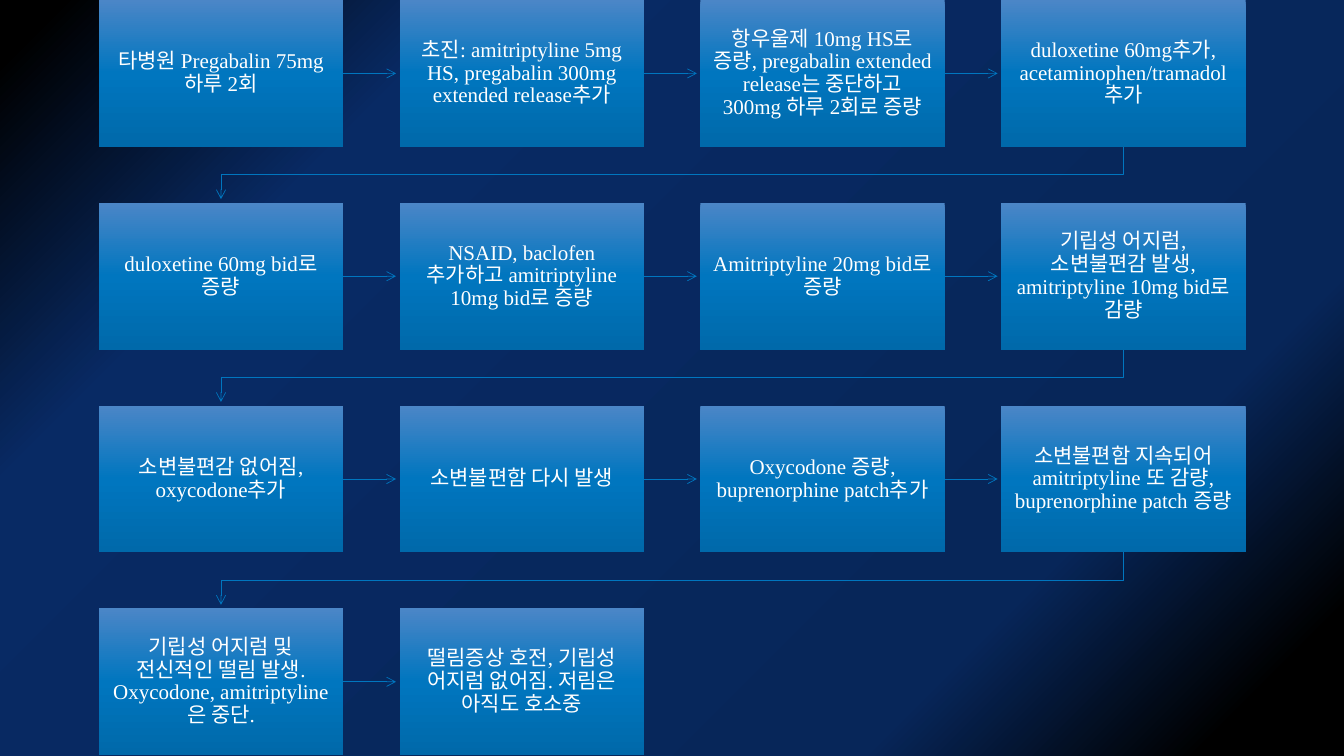
from lxml.etree import SubElement
from pptx import Presentation
from pptx.dml.color import RGBColor
from pptx.enum.shapes import MSO_CONNECTOR, MSO_SHAPE
from pptx.enum.text import MSO_ANCHOR, PP_ALIGN
from pptx.oxml.ns import qn
from pptx.util import Cm, Pt

COLORS = {
    "black": "000000",
    "navy": "072659",
    "deep": "082A64",
    "light": "4B86C7",
    "blue": "0076BF",
    "dark": "0069AA",
    "white": "FFFFFF",
}
FONT = "Times New Roman"

TREATMENT_STEPS = [
    "타병원 Pregabalin 75mg 하루 2회",
    "초진: amitriptyline 5mg HS, pregabalin 300mg extended release추가",
    "항우울제 10mg HS로 증량, pregabalin extended release는 중단하고 300mg 하루 2회로 증량",
    "duloxetine 60mg추가, acetaminophen/tramadol 추가",
    "duloxetine 60mg bid로 증량",
    "NSAID, baclofen추가하고 amitriptyline 10mg bid로 증량",
    "Amitriptyline 20mg bid로 증량",
    "기립성 어지럼, 소변불편감 발생, amitriptyline 10mg bid로 감량",
    "소변불편감 없어짐, oxycodone추가",
    "소변불편함 다시 발생",
    "Oxycodone 증량, buprenorphine patch추가",
    "소변불편함 지속되어 amitriptyline 또 감량, buprenorphine patch 증량",
    "기립성 어지럼 및 전신적인 떨림 발생. Oxycodone, amitriptyline은 중단.",
    "떨림증상 호전, 기립성 어지럼 없어짐. 저림은 아직도 호소중",
]

# Grid of boxes
COLUMNS = 4
LEFT = Cm(2.49)
COLUMN_STEP, ROW_STEP = Cm(7.58), Cm(5.11)
BOX_WIDTH, BOX_HEIGHT = Cm(6.16), Cm(3.7)
ARROW_GAP = Cm(0.09)


def set_gradient(fill, owner, stops):
    """Fill with (percent, colour, opacity) stops and return the gradient element."""
    fill.gradient()
    gradient = owner.find(".//" + qn("a:gradFill"))
    for child in list(gradient):
        gradient.remove(child)
    stop_list = SubElement(gradient, qn("a:gsLst"))
    for percent, color, opacity in stops:
        stop = SubElement(stop_list, qn("a:gs"), pos=str(percent * 1000))
        tint = SubElement(stop, qn("a:srgbClr"), val=COLORS[color])
        if opacity < 100:
            SubElement(tint, qn("a:alpha"), val=str(opacity * 1000))
    return gradient


def style_arrow(arrow):
    arrow.line.color.rgb = RGBColor.from_string(COLORS["blue"])
    arrow.line.width = Pt(0.5)
    properties = arrow.element.spPr
    SubElement(properties.find(qn("a:ln")), qn("a:tailEnd"), type="arrow")
    SubElement(properties, qn("a:effectLst"))


deck = Presentation()
deck.slide_width, deck.slide_height = Cm(33.87), Cm(19.05)
page = deck.slides.add_slide(deck.slide_layouts[6])

# Background: radial gradient around the bottom right corner
backdrop = set_gradient(page.background.fill, page.element, [
    (7, "black", 100), (23, "navy", 76), (77, "deep", 100), (97, "black", 100)])
radial = SubElement(backdrop, qn("a:path"))
radial.set("path", "circle")
SubElement(radial, qn("a:fillToRect"), l="100000", t="100000")

for index, step in enumerate(TREATMENT_STEPS):
    row, column = divmod(index, COLUMNS)
    left, top = LEFT + column * COLUMN_STEP, row * ROW_STEP

    # Step box
    box = page.shapes.add_shape(MSO_SHAPE.RECTANGLE, left, top, BOX_WIDTH, BOX_HEIGHT)
    box.shadow.inherit = False
    box.line.fill.background()
    shading = set_gradient(box.fill, box.element, [
        (0, "light", 100), (50, "blue", 100), (100, "dark", 100)])
    SubElement(shading, qn("a:lin"), ang="5400000", scaled="0")

    # Step text
    frame = box.text_frame
    frame.word_wrap = True
    frame.vertical_anchor = MSO_ANCHOR.MIDDLE
    frame.margin_left = frame.margin_right = Cm(0.3)
    frame.margin_top = frame.margin_bottom = Cm(0.3)
    para = frame.paragraphs[0]
    para.alignment = PP_ALIGN.CENTER
    para.line_spacing = 0.9
    span = para.add_run()
    span.text = step
    span.font.name = FONT
    span.font.size = Pt(15)
    span.font.color.rgb = RGBColor.from_string(COLORS["white"])

    # Arrow to the next step
    if index == len(TREATMENT_STEPS) - 1:
        continue
    if column < COLUMNS - 1:
        middle = top + BOX_HEIGHT // 2
        arrow = page.shapes.add_connector(
            MSO_CONNECTOR.STRAIGHT, left + BOX_WIDTH, middle,
            left + COLUMN_STEP - ARROW_GAP, middle)
        arrow.begin_connect(box, 3)
    else:
        start_x, end_x = left + BOX_WIDTH // 2, LEFT + BOX_WIDTH // 2
        bottom, next_top = top + BOX_HEIGHT, top + ROW_STEP
        turn = (bottom + next_top) // 2
        outline = page.shapes.build_freeform(start_x, bottom)
        outline.add_line_segments(
            [(start_x, turn), (end_x, turn), (end_x, next_top - ARROW_GAP)], close=False)
        arrow = outline.convert_to_shape()
        arrow.fill.background()
    style_arrow(arrow)

deck.save("out.pptx")
